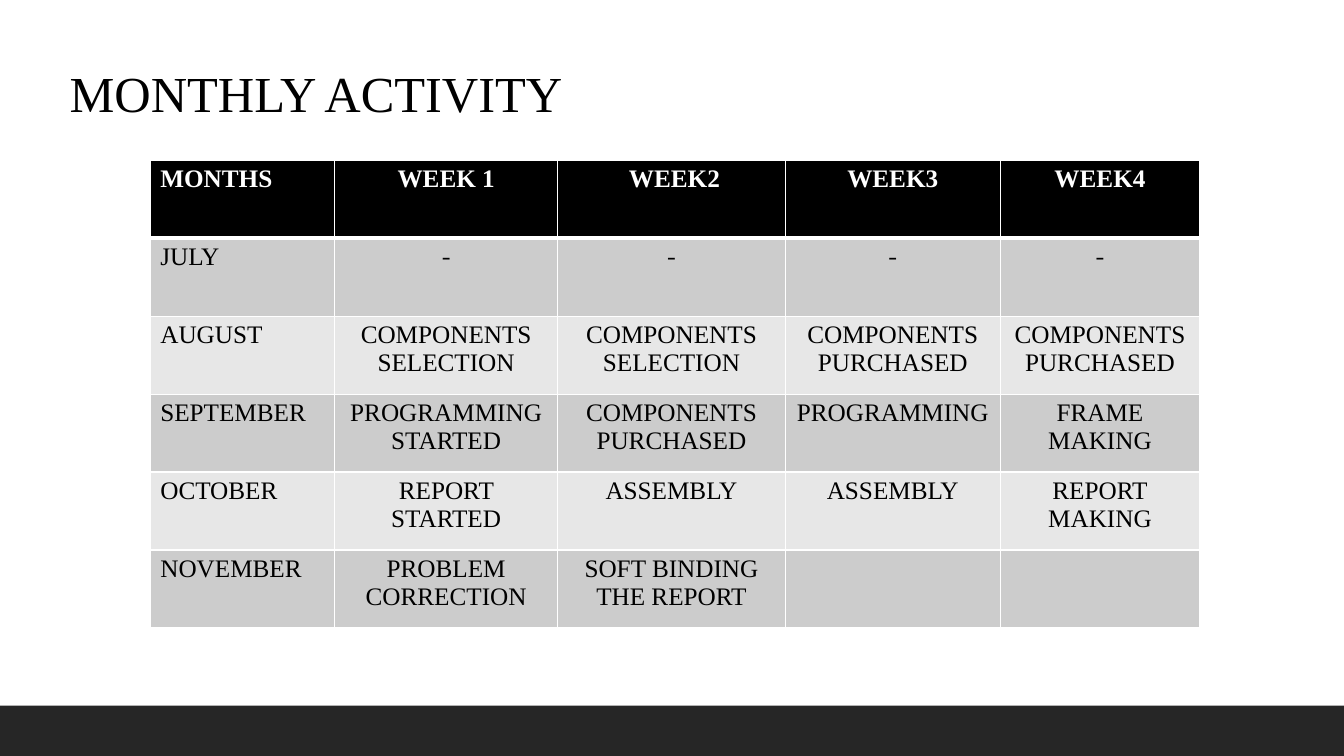
from dataclasses import dataclass

from lxml import etree
from pptx import Presentation
from pptx.dml.color import RGBColor
from pptx.enum.shapes import MSO_SHAPE
from pptx.enum.text import MSO_ANCHOR, MSO_AUTO_SIZE, PP_ALIGN
from pptx.oxml.ns import qn
from pptx.util import Inches, Pt

TITLE = "MONTHLY ACTIVITY"
SCHEDULE = [
    ("MONTHS", "WEEK 1", " WEEK2", "WEEK3", "WEEK4"),
    ("JULY", "-", "-", "-", "-"),
    ("AUGUST", "COMPONENTS SELECTION", "COMPONENTS SELECTION",
     "COMPONENTS PURCHASED", "COMPONENTS PURCHASED"),
    ("SEPTEMBER", "PROGRAMMING STARTED", "COMPONENTS\nPURCHASED",
     "PROGRAMMING", "FRAME MAKING"),
    ("OCTOBER", "REPORT STARTED", "ASSEMBLY", "ASSEMBLY", "REPORT\nMAKING"),
    ("NOVEMBER", "PROBLEM CORRECTION", "SOFT BINDING THE REPORT", "", ""),
]
COLUMN_WIDTHS = (1.83, 2.21, 2.26, 2.13, 1.98)
SLIDE_WIDTH, SLIDE_HEIGHT = 13.33, 7.5
TABLE_LEFT, TABLE_TOP, TABLE_HEIGHT = 1.49, 1.59, 4.64
FOOTER_HEIGHT = 0.5


@dataclass(frozen=True)
class Theme:
    font: str = "Times New Roman"
    dash_font: str = "Karla"
    title_size: int = 36
    table_size: int = 18
    black: str = "000000"
    white: str = "FFFFFF"
    footer: str = "262626"
    bands: tuple = ("E7E7E7", "CCCCCC")
    rule: int = 1
    header_rule: int = 3


THEME = Theme()


def write_text(frame, text, *, size, color=THEME.black, font=THEME.font,
               bold=False, align=PP_ALIGN.LEFT):
    """Fill a text frame, making one paragraph of each line of text."""
    frame.text = text
    for paragraph in frame.paragraphs:
        paragraph.alignment = align
        for run in paragraph.runs:
            run.font.name = font
            run.font.size = Pt(size)
            run.font.bold = bold
            run.font.color.rgb = RGBColor.from_string(color)


def fill_solid(target, color):
    target.fill.solid()
    target.fill.fore_color.rgb = RGBColor.from_string(color)


def set_borders(cell, top, bottom):
    """Rule all four sides in white; top and bottom are widths in points."""
    properties = cell._tc.get_or_add_tcPr()
    sides = {"a:lnL": THEME.rule, "a:lnR": THEME.rule, "a:lnT": top, "a:lnB": bottom}
    for position, (tag, width) in enumerate(sides.items()):
        line = etree.Element(qn(tag), w=str(Pt(width)))
        solid = etree.SubElement(line, qn("a:solidFill"))
        etree.SubElement(solid, qn("a:srgbClr"), val=THEME.white)
        properties.insert(position, line)


def add_footer(slide):
    footer = slide.shapes.add_shape(
        MSO_SHAPE.RECTANGLE, 0, Inches(SLIDE_HEIGHT - FOOTER_HEIGHT),
        Inches(SLIDE_WIDTH), Inches(FOOTER_HEIGHT))
    footer.shadow.inherit = False
    fill_solid(footer, THEME.footer)
    footer.line.fill.background()


def add_title(slide):
    title = slide.shapes.title
    title.left, title.top = Inches(0.59), Inches(0.56)
    title.width, title.height = Inches(6.67), Inches(0.71)
    write_text(title.text_frame, TITLE, size=THEME.title_size)
    title.text_frame.vertical_anchor = MSO_ANCHOR.MIDDLE
    title.text_frame.auto_size = MSO_AUTO_SIZE.SHAPE_TO_FIT_TEXT


def add_schedule(slide):
    table = slide.shapes.add_table(
        len(SCHEDULE), len(COLUMN_WIDTHS), Inches(TABLE_LEFT), Inches(TABLE_TOP),
        Inches(sum(COLUMN_WIDTHS)), Inches(TABLE_HEIGHT)).table
    for column, width in zip(table.columns, COLUMN_WIDTHS):
        column.width = Inches(width)
    for row_index, entries in enumerate(SCHEDULE):
        table.rows[row_index].height = Inches(TABLE_HEIGHT / len(SCHEDULE))
        is_header = row_index == 0
        for column_index, entry in enumerate(entries):
            cell = table.cell(row_index, column_index)
            write_text(
                cell.text_frame, entry, size=THEME.table_size, bold=is_header,
                color=THEME.white if is_header else THEME.black,
                font=THEME.dash_font if entry == "-" else THEME.font,
                align=PP_ALIGN.CENTER if column_index else PP_ALIGN.LEFT)
            fill_solid(cell, THEME.black if is_header else THEME.bands[row_index % 2])
            set_borders(cell,
                        top=THEME.header_rule if row_index == 1 else THEME.rule,
                        bottom=THEME.header_rule if is_header else THEME.rule)


def main():
    deck = Presentation()
    deck.slide_width, deck.slide_height = Inches(SLIDE_WIDTH), Inches(SLIDE_HEIGHT)
    slide = deck.slides.add_slide(deck.slide_layouts[5])
    fill_solid(slide.background, THEME.white)
    add_footer(slide)
    add_title(slide)
    add_schedule(slide)
    deck.save("out.pptx")


if __name__ == "__main__":
    main()
